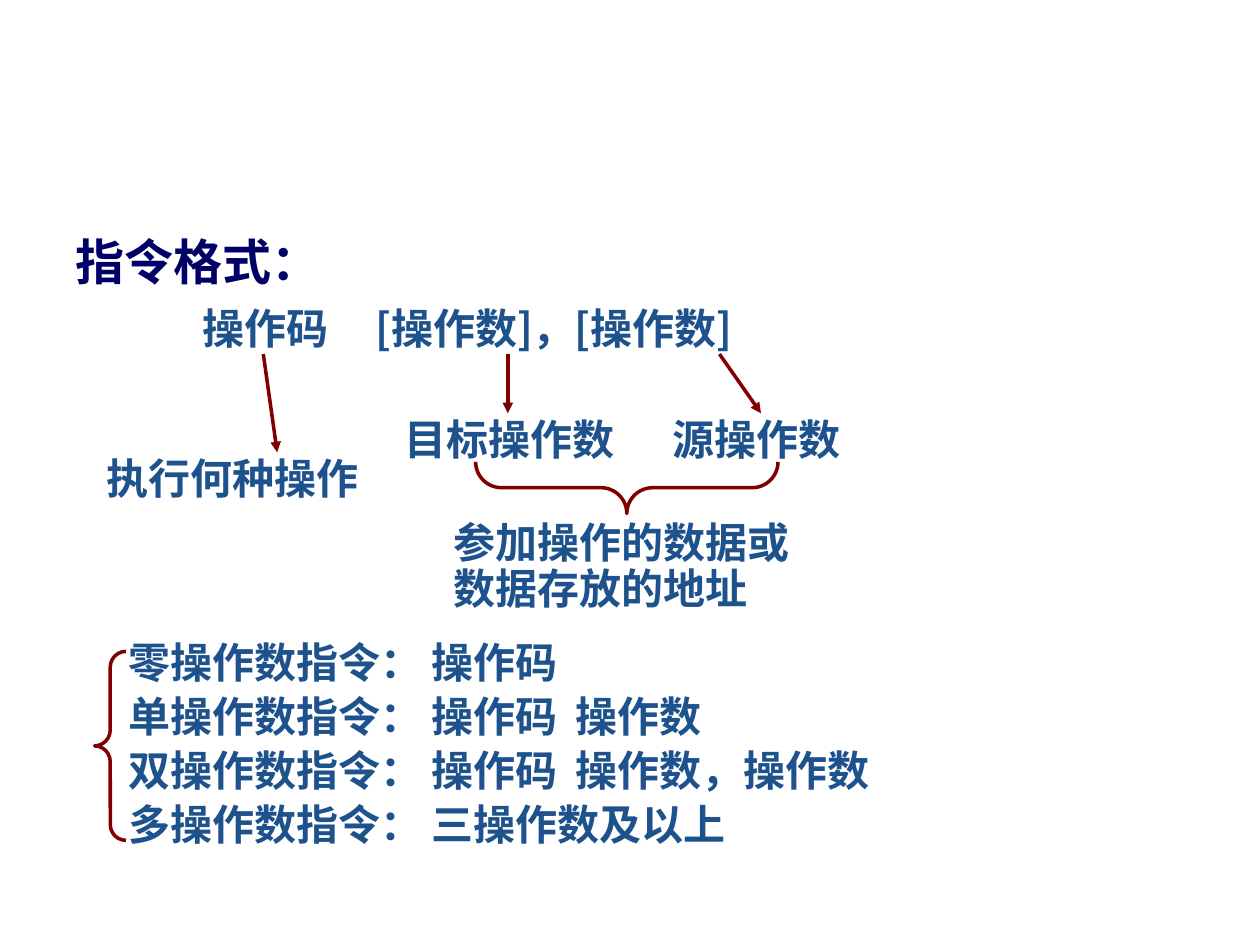
from pptx import Presentation
from pptx import util as u
from pptx.dml.color import RGBColor
from pptx.enum import shapes
from pptx.oxml.ns import qn
from lxml import etree

NAVY = RGBColor(0x00, 0x00, 0x66)
BLUE = RGBColor(0x1D, 0x52, 0x8D)
MAROON = RGBColor(0x80, 0x00, 0x00)
SANS = "Noto Sans CJK SC"
SERIF = "Times New Roman"
COLS, ROWS = 100, 75

prs = Presentation()
prs.slide_width, prs.slide_height = u.Inches(10), u.Inches(7.5)
s = prs.slides.add_slide(prs.slide_layouts[6])


def grid(*cells):
    return [int(prs.slide_width * c / COLS) for c in cells]


def add_text(cells, lines, font, leading, gap=0, size=24, color=BLUE, tab=None):
    tf = s.shapes.add_textbox(*grid(*cells)).text_frame
    tf.word_wrap = True
    tf.margin_top = grid(0.8)[0]
    for i, line in enumerate(lines):
        p = tf.paragraphs[0] if i == 0 else tf.add_paragraph()
        p.text = line
        p.line_spacing = u.Pt(leading)
        p.space_before = u.Pt(gap if i else 0)
        p.space_after = u.Pt(gap)
        if tab:
            tabs = etree.SubElement(p._p.get_or_add_pPr(), qn("a:tabLst"))
            etree.SubElement(tabs, qn("a:tab"), pos=str(grid(tab)[0]), algn="l")
        for r in p.runs:
            r.font.name = font
            r.font.size = u.Pt(size)
            r.font.bold = True
            r.font.color.rgb = color
            etree.SubElement(r._r.get_or_add_rPr(), qn("a:ea"), typeface=SANS)


add_text((5, 16.7, 91.7, 52.5), ["指令格式："], SANS, 40, size=28, color=NAVY)
add_text((15.1, 22.5, 61.7, 7.1), ["操作码\t[操作数]，[操作数]"], SANS, 34, tab=13.7)

for left, top, width, label in [
    (7.5, 35.1, 27.5, "执行何种操作"),
    (31.1, 32, 19.7, "目标操作数"),
    (52.4, 32, 16.5, "源操作数"),
]:
    add_text((left, top, width, 5), [label], SERIF, 29)

add_text((35, 40.6, 30.3, 8.2), ["参加操作的数据或数据存放的地址"], SERIF, 26)
add_text(
    (9.2, 50.1, 66.1, 17.8),
    [
        "零操作数指令： 操作码",
        "单操作数指令： 操作码\t操作数",
        "双操作数指令： 操作码\t操作数，操作数",
        "多操作数指令： 三操作数及以上",
    ],
    SANS, 26, gap=2.4, tab=35.5,
)

for ends in [(20.9, 28.1, 22, 35.9), (40.3, 28.1, 40.3, 32.8), (57.1, 28.1, 60.4, 32.8)]:
    arrow = s.shapes.add_connector(shapes.MSO_CONNECTOR.STRAIGHT, *grid(*ends))
    arrow.line.color.rgb = MAROON
    arrow.line.width = u.Pt(2)
    etree.SubElement(arrow.line._get_or_add_ln(), qn("a:tailEnd"), type="triangle")
    etree.SubElement(arrow._element.spPr, qn("a:effectLst"))

for cells, turn in [((47.7, 26.7, 4.1, 24), 270), ((7.5, 51.7, 2.5, 15), 0)]:
    brace = s.shapes.add_shape(shapes.MSO_SHAPE.LEFT_BRACE, *grid(*cells))
    brace.rotation = turn
    brace.adjustments[0], brace.adjustments[1] = 0.5, 0.5
    brace.shadow.inherit = False
    brace.fill.background()
    brace.line.color.rgb = MAROON
    brace.line.width = u.Pt(2)

prs.save("out.pptx")
